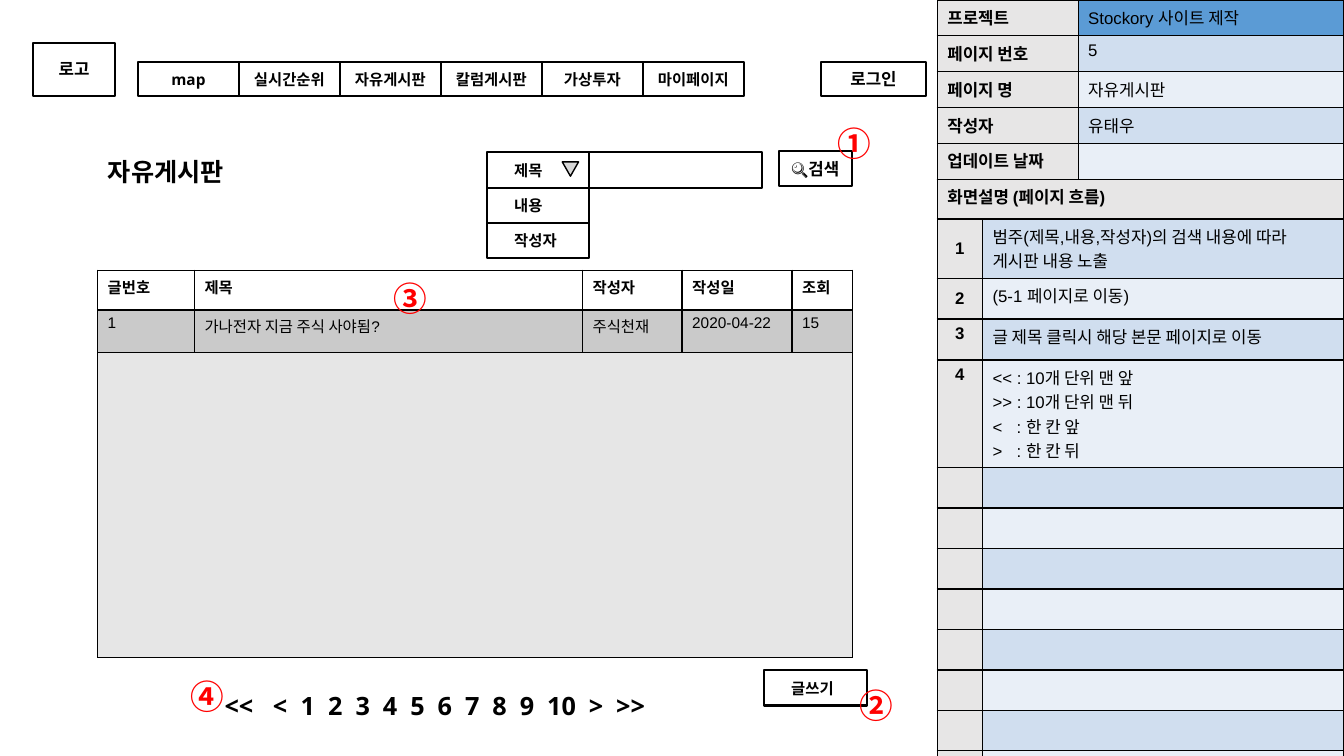
from dataclasses import dataclass
from itertools import accumulate
from typing import NamedTuple, Optional, Sequence

from lxml.etree import SubElement
from pptx import Presentation
from pptx.dml.color import RGBColor
from pptx.enum.shapes import MSO_SHAPE
from pptx.enum.text import MSO_ANCHOR, MSO_AUTO_SIZE, PP_ALIGN
from pptx.oxml.ns import qn
from pptx.shapes.autoshape import Shape
from pptx.slide import Slide
from pptx.table import _Cell as Cell
from pptx.text.text import TextFrame
from pptx.util import Cm, Pt


@dataclass(frozen=True)
class Theme:
    ink: str = "000000"
    marker: str = "FF0000"
    white: str = "FFFFFF"
    label: str = "E7E6E6"
    accent: str = "5B9BD5"
    bands: tuple = ("D0DEEF", "E9EFF7")
    post: str = "CACACA"
    empty_board: str = "E6E6E6"
    arrow: str = "D8D8D8"
    screen_font: str = "Open Sans"
    table_font: str = "Arial"
    marker_font: str = "Noto Sans CJK KR"
    small: int = 11
    normal: int = 12
    heading: int = 18
    marker_size: int = 24
    thin: float = 1
    thick: float = 1.5


class Box(NamedTuple):
    left: float
    top: float
    width: float
    height: float
    text: str = ""
    size: int = Theme.small
    inset: Optional[float] = None


class Marker(NamedTuple):
    left: float
    top: float
    text: str


class CellStyle(NamedTuple):
    text: str
    fill: str
    bold: bool = False
    centered: bool = False
    middle: bool = False
    size: int = Theme.normal
    tabs: tuple = ()


THEME = Theme()


def write(frame: TextFrame, text: str, *, size: int = THEME.small, font: str = THEME.screen_font,
          bold: bool = True, color: str = THEME.ink, align: PP_ALIGN = PP_ALIGN.LEFT,
          tabs: Sequence[float] = ()) -> None:
    for index, line in enumerate(text.split("\n")):
        paragraph = frame.add_paragraph() if index else frame.paragraphs[0]
        paragraph.alignment = align
        if tabs:
            tab_list = SubElement(paragraph._p.get_or_add_pPr(), qn("a:tabLst"))
            for position in tabs:
                SubElement(tab_list, qn("a:tab"), pos=str(int(Cm(position))), algn="l")
        run = paragraph.add_run()
        run.text = line
        run.font.size = Pt(size)
        run.font.name = font
        run.font.bold = bold
        run.font.color.rgb = RGBColor.from_string(color)
        SubElement(run.font._element, qn("a:ea"), typeface=THEME.marker_font)


def set_frame(frame: TextFrame, inset: float = 0, anchor: MSO_ANCHOR = MSO_ANCHOR.MIDDLE) -> None:
    frame.word_wrap = True
    frame.auto_size = MSO_AUTO_SIZE.NONE
    frame.vertical_anchor = anchor
    frame.margin_left = Cm(inset)
    frame.margin_right = frame.margin_top = frame.margin_bottom = 0


def outline(shape: Shape, width: float) -> None:
    shape.shadow.inherit = False
    shape.line.color.rgb = RGBColor.from_string(THEME.ink)
    shape.line.width = Pt(width)


def add_box(slide: Slide, box: Box) -> None:
    shape = slide.shapes.add_shape(MSO_SHAPE.RECTANGLE, *map(Cm, box[:4]))
    shape.fill.background()
    outline(shape, THEME.thick)
    set_frame(shape.text_frame, box.inset or 0)
    if box.text:
        align = PP_ALIGN.CENTER if box.inset is None else PP_ALIGN.LEFT
        write(shape.text_frame, box.text, size=box.size, align=align)


def add_marker(slide: Slide, marker: Marker) -> None:
    shape = slide.shapes.add_textbox(Cm(marker.left), Cm(marker.top), Cm(1.4), Cm(1.27))
    set_frame(shape.text_frame, 0.25, MSO_ANCHOR.TOP)
    shape.text_frame.margin_top = Cm(0.13)
    write(shape.text_frame, marker.text, size=THEME.marker_size, font=THEME.marker_font, color=THEME.marker)


def style_cell(cell: Cell, style: CellStyle) -> None:
    properties = cell._tc.get_or_add_tcPr()
    for side in ("a:lnL", "a:lnR", "a:lnT", "a:lnB"):
        border = SubElement(properties, qn(side), w=str(int(Pt(THEME.thin))))
        SubElement(SubElement(border, qn("a:solidFill")), qn("a:srgbClr"), val=THEME.ink)
    cell.fill.solid()
    cell.fill.fore_color.rgb = RGBColor.from_string(style.fill)
    cell.vertical_anchor = MSO_ANCHOR.MIDDLE if style.middle else MSO_ANCHOR.TOP
    if style.text:
        write(cell.text_frame, style.text, size=style.size, font=THEME.table_font, bold=style.bold,
              align=PP_ALIGN.CENTER if style.centered else PP_ALIGN.LEFT, tabs=style.tabs)
    else:
        cell.margin_top = cell.margin_bottom = 0
        SubElement(cell.text_frame.paragraphs[0]._p, qn("a:endParaRPr"), sz="100")


def add_grid(slide: Slide, left: float, top: float, columns: Sequence[float], heights: Sequence[float],
             rows: Sequence[Sequence[CellStyle]]) -> None:
    frame = slide.shapes.add_table(len(heights), len(columns), Cm(left), Cm(top),
                                   Cm(sum(columns)), Cm(sum(heights)))
    table = frame.table
    table.first_row = table.horz_banding = False
    for column, width in zip(table.columns, columns):
        column.width = Cm(width)
    for row, height in zip(table.rows, heights):
        row.height = Cm(height)
    for row_index, row in enumerate(rows):
        if len(row) == 1:
            table.cell(row_index, 0).merge(table.cell(row_index, len(columns) - 1))
        for column_index, style in enumerate(row):
            style_cell(table.cell(row_index, column_index), style)


presentation = Presentation()
presentation.slide_width, presentation.slide_height = Cm(33.87), Cm(19.05)
slide = presentation.slides.add_slide(presentation.slide_layouts[5])

title = slide.shapes.title
title.left, title.top, title.width, title.height = Cm(1.88), Cm(3.84), Cm(4.6), Cm(0.94)
set_frame(title.text_frame)
write(title.text_frame, "자유게시판", size=THEME.heading, align=PP_ALIGN.CENTER)

project = (("프로젝트", "Stockory 사이트 제작"), ("페이지 번호", "5"), ("페이지 명", "자유게시판"),
           ("작성자", "유태우"), ("업데이트 날짜", ""))
project_fills = (THEME.accent, *THEME.bands, *THEME.bands)
panel_left, panel_split = 23.62, 4.52
add_grid(slide, panel_left, 0, (3.55, 6.7), [panel_split / len(project)] * len(project),
         [(CellStyle(label, THEME.label, bold=True), CellStyle(value, fill))
          for (label, value), fill in zip(project, project_fills)])

descriptions = ("범주(제목,내용,작성자)의 검색 내용에 따라\n게시판 내용 노출", "(5-1 페이지로 이동)",
                "글 제목 클릭시 해당 본문 페이지로 이동",
                "<< : 10개 단위 맨 앞\n>> : 10개 단위 맨 뒤\n<\t: 한 칸 앞\n>\t: 한 칸 뒤", *[""] * 8)
description_rows = [(CellStyle("화면설명 (페이지 흐름)", THEME.label, bold=True),)]
for index, description in enumerate(descriptions):
    number = str(index + 1) if description else ""
    description_rows.append((
        CellStyle(number, THEME.label, bold=True, centered=True, middle=index < 2),
        CellStyle(description, THEME.bands[index % 2], tabs=(0.61,) if "\t" in description else ())))
add_grid(slide, panel_left, panel_split, (1.14, 9.11), (1, 1.49, 1.03, 1.03, 2.7, *[1.02] * 7, 0.14),
         description_rows)

headers = ("글번호", "제목", "작성자", "작성일", "조회")
post = ("1", "가나전자 지금 주식 사야됨?", "주식천재", "2020-04-22", "15")
add_grid(slide, 2.46, 6.81, (2.44, 9.78, 2.51, 2.77, 1.52), (1, 1.07, 7.68),
         ([CellStyle(text, THEME.white, bold=True, size=THEME.small) for text in headers],
          [CellStyle(text, THEME.post, size=THEME.small) for text in post],
          [CellStyle("", THEME.empty_board)]))

menu = ("map", "실시간순위", "자유게시판", "칼럼게시판", "가상투자", "마이페이지")
search_fields = ("제목", "내용", "작성자")
boxes = [
    Box(0.84, 1.08, 2.06, 1.33, "로고", THEME.normal),
    Box(20.69, 1.57, 2.65, 0.84, "로그인", THEME.normal),
    *[Box(3.48 + 2.545 * index, 1.57, 2.54, 0.84, text) for index, text in enumerate(menu)],
    *[Box(12.27, 3.84 + 0.89 * index, 2.58, 0.89, text, inset=0.69)
      for index, text in enumerate(search_fields)],
    Box(14.85, 3.84, 4.35, 0.89),
    Box(19.63, 3.81, 1.84, 0.89, "🔍검색", THEME.normal),
    Box(19.25, 16.89, 2.6, 0.89, "글쓰기", inset=0.69),
]
for box in boxes:
    add_box(slide, box)

arrow = slide.shapes.add_shape(MSO_SHAPE.ISOSCELES_TRIANGLE, Cm(14.17), Cm(4.08), Cm(0.41), Cm(0.36))
arrow.rotation = 180
arrow.fill.solid()
arrow.fill.fore_color.rgb = RGBColor.from_string(THEME.arrow)
outline(arrow, THEME.thin)

pages = ("<<", "<", *map(str, range(1, 11)), ">", ">>")
page_steps = (1.22, 0.7, *[0.69] * 9, 1.05, 0.69)
pager = slide.shapes.add_textbox(Cm(5.41), Cm(17.3), Cm(12.4), Cm(0.94))
set_frame(pager.text_frame, 0.25)
write(pager.text_frame, "\t".join(pages), size=THEME.heading, tabs=tuple(accumulate(page_steps)))

for marker in (Marker(20.85, 2.97, "①"), Marker(21.41, 17.12, "②"),
               Marker(9.68, 6.88, "③"), Marker(4.55, 16.89, "④")):
    add_marker(slide, marker)

presentation.save("out.pptx")
